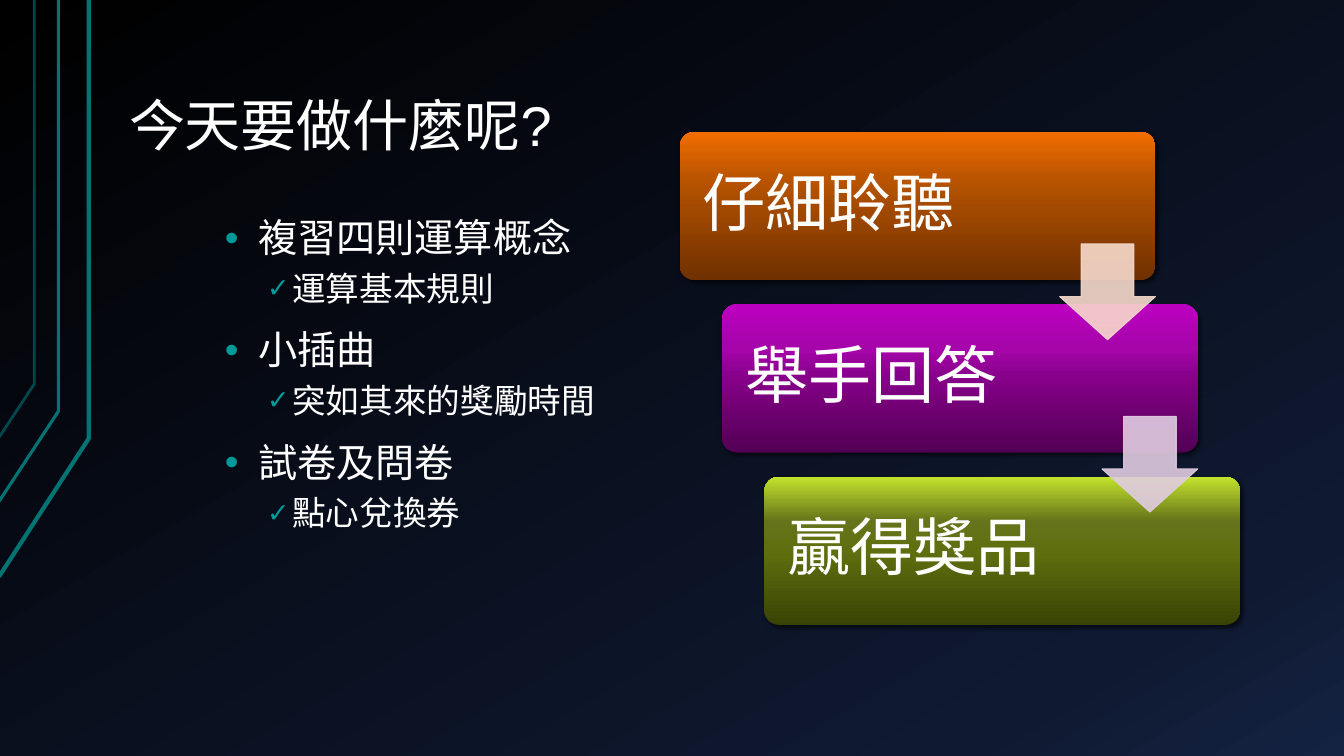
from lxml import etree
from pptx import Presentation
from pptx.dml.color import RGBColor
from pptx.enum.shapes import MSO_SHAPE
from pptx.enum.text import MSO_ANCHOR
from pptx.oxml.ns import qn
from pptx.util import Inches, Pt

ROUND, ARROW = MSO_SHAPE.ROUNDED_RECTANGLE, MSO_SHAPE.DOWN_ARROW
MIDDLE, BOTTOM = MSO_ANCHOR.MIDDLE, MSO_ANCHOR.BOTTOM
FONT = "Arial"
rgb = RGBColor.from_string
BLACK, WHITE = rgb("000000"), rgb("FFFFFF")
TEAL, MINT = rgb("007373"), rgb("009999")
PEACH, LILAC = rgb("F7DACC"), rgb("E0CCE1")
NIGHT = [(0, BLACK), (85, rgb("0F1931")), (100, rgb("142242"))]
ORANGE = [(0, rgb("703000")), (50, rgb("A44A00")), (70, rgb("BC5500")), (100, rgb("F26D00"))]
PURPLE = [(0, rgb("520054")), (50, rgb("850088")), (70, rgb("A505A9")), (100, rgb("BC00C0"))]
GREEN = [(0, rgb("394404")), (50, rgb("5F6F0F")), (70, rgb("65741A")), (100, rgb("C4E32D"))]

# Line points from the box corner, width in points, opacity in percent
RAILS = [
    ([(0.01, 5.72), (0.9, 4.35), (0.9, 0)], 3, 100),
    ([(0, 4.99), (0.6, 4.08), (0.6, 0)], 2.25, 100),
    ([(0.01, 4.34), (0.36, 3.81), (0.36, 0)], 2, 60),
]
TOPICS = [
    ("複習四則運算概念", "運算基本規則"),
    ("小插曲", "突如其來的獎勵時間"),
    ("試卷及問卷", "點心兌換券"),
]
STEPS = [("仔細聆聽", ORANGE), ("舉手回答", PURPLE), ("贏得獎品", GREEN)]


def add(parent, tag, **attrs):
    """Append a drawing element and return it."""
    return etree.SubElement(parent, qn(tag), {k: str(v) for k, v in attrs.items()})


def blend(fill, stops, angle):
    """Fill with a gradient of any number of stops."""
    fill.gradient()
    fill.gradient_angle = angle
    grads = fill._xPr.find(qn("a:gradFill")).find(qn("a:gsLst"))
    for stop in list(grads):
        grads.remove(stop)
    for pos, color in stops:
        stop = add(grads, "a:gs", pos=pos * 1000)
        add(stop, "a:srgbClr", val=color)


def fade(shape, percent):
    """Make the solid fill and line of a shape see-through."""
    for color in shape._element.spPr.iter(qn("a:srgbClr")):
        add(color, "a:alpha", val=percent * 1000)


def drop(shape):
    """Give a shape a soft shadow to the lower right."""
    shape.shadow.inherit = False
    effects = shape._element.spPr.find(qn("a:effectLst"))
    outer = add(effects, "a:outerShdw", blurRad=Pt(3), dist=Pt(2),
                dir=45 * 60000, rotWithShape=0)
    add(add(outer, "a:srgbClr", val=BLACK), "a:alpha", val=60000)


def style(para, size):
    """Format a paragraph in white text of one size."""
    para.line_spacing = 0.9
    for run in para.runs:
        run.font.name, run.font.size = FONT, Pt(size)
        run.font.color.rgb = WHITE


def frame(slide, box, anchor=None, pad=(0.13, 0.07)):
    """Add a wrapping text box and return its frame."""
    text = slide.shapes.add_textbox(*map(Inches, box)).text_frame
    text.word_wrap = True
    text.margin_left = text.margin_right = Inches(pad[0])
    text.margin_top = text.margin_bottom = Inches(pad[1])
    if anchor is not None:
        text.vertical_anchor = anchor
    return text


def bullet(para, mark, left, hang, scale):
    """Set a hanging bullet on a paragraph."""
    props = para._p.get_or_add_pPr()
    props.set("marL", str(Inches(left)))
    props.set("indent", str(-Inches(hang)))
    add(add(props, "a:buClr"), "a:srgbClr", val=MINT)
    add(props, "a:buSzPct", val=scale * 1000)
    add(props, "a:buFont", typeface=FONT)
    add(props, "a:buChar", char=mark)


def rails(slide, box):
    """Draw the bent teal lines at the left edge."""
    left, top = box
    for points, width, opaque in RAILS:
        spots = [(Inches(left + x), Inches(top + y)) for x, y in points]
        path = slide.shapes.build_freeform(*spots[0])
        path.add_line_segments(spots[1:], close=False)
        line = path.convert_to_shape()
        line.shadow.inherit = False
        line.fill.background()
        line.line.color.rgb, line.line.width = TEAL, Pt(width)
        if opaque < 100:
            fade(line, opaque)


def title(slide, box):
    """Write the slide heading."""
    para = frame(slide, box, BOTTOM).paragraphs[0]
    para.text = "今天要做什麼呢?"
    style(para, 40)


def topics(slide, box):
    """List each topic with its detail below."""
    text = frame(slide, box)
    levels = [(28, 16, "•", 0.33, 0.33, 100), (24, 8, "✓", 0.67, 0.25, 80)]
    para = text.paragraphs[0]
    for topic in TOPICS:
        for rank, (words, level) in enumerate(zip(topic, levels)):
            size, before, *mark = level
            if para is None:
                para = text.add_paragraph()
            para.text, para.level = words, rank
            style(para, size)
            para.space_before = Pt(before)
            bullet(para, *mark)
            para = None


def steps(slide, box):
    """Draw the stair of cards joined by arrows."""
    left, top, width, height = box
    wide, tall, side = 4.72, 1.47, 0.95
    last = len(STEPS) - 1
    dx, dy = (width - wide) / last, (height - tall) / last
    for i, (words, stops) in enumerate(STEPS):
        x, y = left + i * dx, top + i * dy
        card = slide.shapes.add_shape(ROUND, *map(Inches, (x, y, wide, tall)))
        card.adjustments[0] = 0.1
        blend(card.fill, stops, 90)
        card.line.fill.background()
        drop(card)
        label = frame(slide, (x + 0.04, y + 0.04, 3.27, 1.38), MIDDLE, (0.19, 0.19))
        label.paragraphs[0].text = words
        style(label.paragraphs[0], 45)
    for i, color in enumerate((PEACH, LILAC)):
        x, y = left + i * dx + wide - side, top + i * dy + 1.11
        arrow = slide.shapes.add_shape(ARROW, *map(Inches, (x, y, side, side)))
        arrow.adjustments[0], arrow.adjustments[1] = 0.45, 0.55
        arrow.shadow.inherit = False
        arrow.fill.solid()
        arrow.fill.fore_color.rgb = arrow.line.color.rgb = color
        arrow.line.width = Pt(0.75)
        # The head takes 45% of the height, the shaft 55% of the width
        arrow.adjustments[0], arrow.adjustments[1] = 0.55, 0.45
        fade(arrow, 90)


def agenda(deck):
    """Build the agenda slide."""
    slide = deck.slides.add_slide(deck.slide_layouts[6])
    blend(slide.background.fill, NIGHT, 300)
    rails(slide, (-0.02, 0))
    title(slide, (1.15, 0.3, 11.33, 1.34))
    topics(slide, (2.1, 2.1, 5.55, 4.02))
    steps(slide, (6.74, 1.31, 5.56, 4.89))


deck = Presentation()
deck.slide_width, deck.slide_height = Inches(13.33), Inches(7.5)
agenda(deck)
deck.save("out.pptx")
